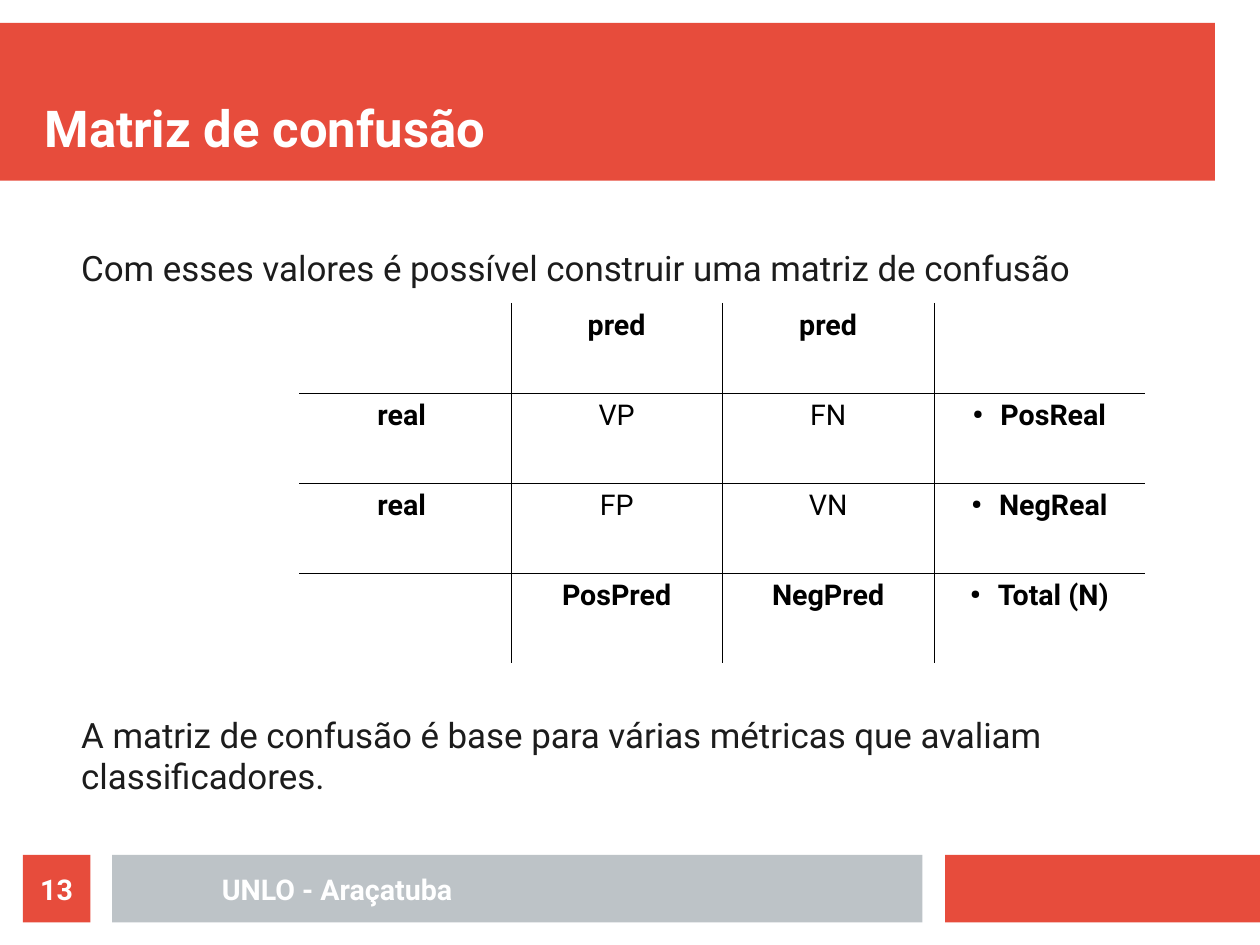
from dataclasses import dataclass

from lxml import etree
from pptx import Presentation
from pptx.dml.color import RGBColor
from pptx.enum.shapes import MSO_SHAPE
from pptx.enum.text import MSO_ANCHOR, MSO_AUTO_SIZE, PP_ALIGN
from pptx.oxml.ns import qn
from pptx.util import Inches, Pt

RECT = MSO_SHAPE.RECTANGLE
LEFT, CENTER = PP_ALIGN.LEFT, PP_ALIGN.CENTER
TOP, MIDDLE, BOTTOM = MSO_ANCHOR.TOP, MSO_ANCHOR.MIDDLE, MSO_ANCHOR.BOTTOM
FIXED = MSO_AUTO_SIZE.NONE
RED, GRAY, WHITE, BLACK, INK = "E74C3C", "BDC3C7", "FFFFFF", "000000", "1C1C1C"
FONT = "Roboto"
WIDE, HIGH = 28 / 2.54, 21 / 2.54


@dataclass
class Box:
    left: float
    top: float
    width: float
    height: float
    fill: str = ""
    text: str = ""


BANDS = [
    Box(0, 0.2, 10.63, 1.38, RED),
    Box(8.27, 7.48, 2.76, 0.59, RED),
    Box(0.98, 7.48, 7.09, 0.59, GRAY),
]
LABELS = [
    Box(1.18, 7.48, 3.54, 0.59, "", "UNLO - Araçatuba"),
    Box(0.2, 7.48, 0.59, 0.59, RED, "13"),
]
TITLE = Box(0.39, 0.4, 10.24, 0.98, "", "Matriz de confusão")
BODY = Box(0.39, 2.16, 10.04, 5.12)
LINES = [
    ("Com esses valores é possível construir uma matriz de confusão", 0),
    ("A matriz de confusão é base para várias métricas que avaliam "
     "classificadores.", 256),
]
GRID = Box(2.62, 2.65, 7.4, 3.15)
CELLS = [
    ["", "pred", "pred", ""],
    ["real ", "VP", "FN", "PosReal"],
    ["real ", "FP", "VN", "NegReal"],
    ["", "PosPred", "NegPred", "Total (N)"],
]


def color(code: str) -> RGBColor:
    return RGBColor.from_string(code)


def place(shape, box: Box) -> None:
    shape.left, shape.top = Inches(box.left), Inches(box.top)
    shape.width, shape.height = Inches(box.width), Inches(box.height)


def frame(shape, anchor):
    area = shape.text_frame
    area.word_wrap = True
    area.auto_size = FIXED
    area.vertical_anchor = anchor
    area.margin_left = area.margin_right = 0
    area.margin_top = area.margin_bottom = 0
    return area


def style(para, size: float, code: str, bold: bool, align) -> None:
    para.alignment = align
    para.font.name = FONT
    para.font.size = Pt(size)
    para.font.bold = bold
    para.font.color.rgb = color(code)


def draw(slide, box: Box):
    area = [Inches(n) for n in (box.left, box.top, box.width, box.height)]
    if box.fill:
        shape = slide.shapes.add_shape(RECT, *area)
        shape.shadow.inherit = False
        shape.fill.solid()
        shape.fill.fore_color.rgb = color(box.fill)
        shape.line.fill.background()
    else:
        shape = slide.shapes.add_textbox(*area)
    if box.text:
        para = frame(shape, MIDDLE).paragraphs[0]
        para.text = box.text
        style(para, 18, WHITE, True, CENTER)
    return shape


def indent(para, left: float, first: float, mark: str = "") -> None:
    props = para._p.get_or_add_pPr()
    props.set("marL", str(Inches(left)))
    props.set("indent", str(Inches(first)))
    if mark:
        tint = etree.SubElement(props, qn("a:buClr"))
        etree.SubElement(tint, qn("a:srgbClr"), val=BLACK)
        etree.SubElement(props, qn("a:buSzPct"), val="45000")
        etree.SubElement(props, qn("a:buChar"), char=mark)
    else:
        etree.SubElement(props, qn("a:buNone"))
    props.append(props.find(qn("a:defRPr")))


def edge(cell, sides: dict[str, bool]) -> None:
    props = cell._tc.get_or_add_tcPr()
    for spot, (side, shown) in enumerate(sides.items()):
        line = etree.Element(qn(f"a:ln{side}"), w=str(Pt(0.06)))
        if shown:
            fill = etree.SubElement(line, qn("a:solidFill"))
            etree.SubElement(fill, qn("a:srgbClr"), val=BLACK)
        else:
            etree.SubElement(line, qn("a:noFill"))
        props.insert(spot, line)


def matrix(slide) -> None:
    count = len(CELLS)
    last = count - 1
    table = slide.shapes.add_table(
        count, count, Inches(GRID.left), Inches(GRID.top),
        Inches(GRID.width), Inches(GRID.height)).table
    table.first_row = table.horz_banding = False
    for row, words in enumerate(CELLS):
        for col, word in enumerate(words):
            cell = table.cell(row, col)
            cell.fill.background()
            edge(cell, {"L": col > 0, "R": col < last,
                        "T": row > 0, "B": row < last})
            if not word:
                continue
            para = cell.text_frame.paragraphs[0]
            para.text = word
            inner = 0 < row < last and 0 < col < last
            style(para, 18, BLACK, not inner, CENTER)
            if col == last:
                indent(para, 0.24, -0.24, "●")


def main() -> None:
    prs = Presentation()
    prs.slide_width, prs.slide_height = Inches(WIDE), Inches(HIGH)
    slide = prs.slides.add_slide(prs.slide_layouts[1])
    title, body = slide.placeholders

    for band in BANDS:
        title.element.addprevious(draw(slide, band).element)

    place(title, TITLE)
    para = frame(title, BOTTOM).paragraphs[0]
    para.text = TITLE.text
    style(para, 32, WHITE, True, LEFT)

    place(body, BODY)
    area = frame(body, TOP)
    area.text = "\n".join(text for text, gap in LINES)
    for para, (text, gap) in zip(area.paragraphs, LINES):
        style(para, 22, INK, False, LEFT)
        para.space_before, para.space_after = Pt(gap), Pt(11.3)
        indent(para, 0.32, 0)

    matrix(slide)
    for label in LABELS:
        draw(slide, label)
    prs.save("out.pptx")


if __name__ == "__main__":
    main()
